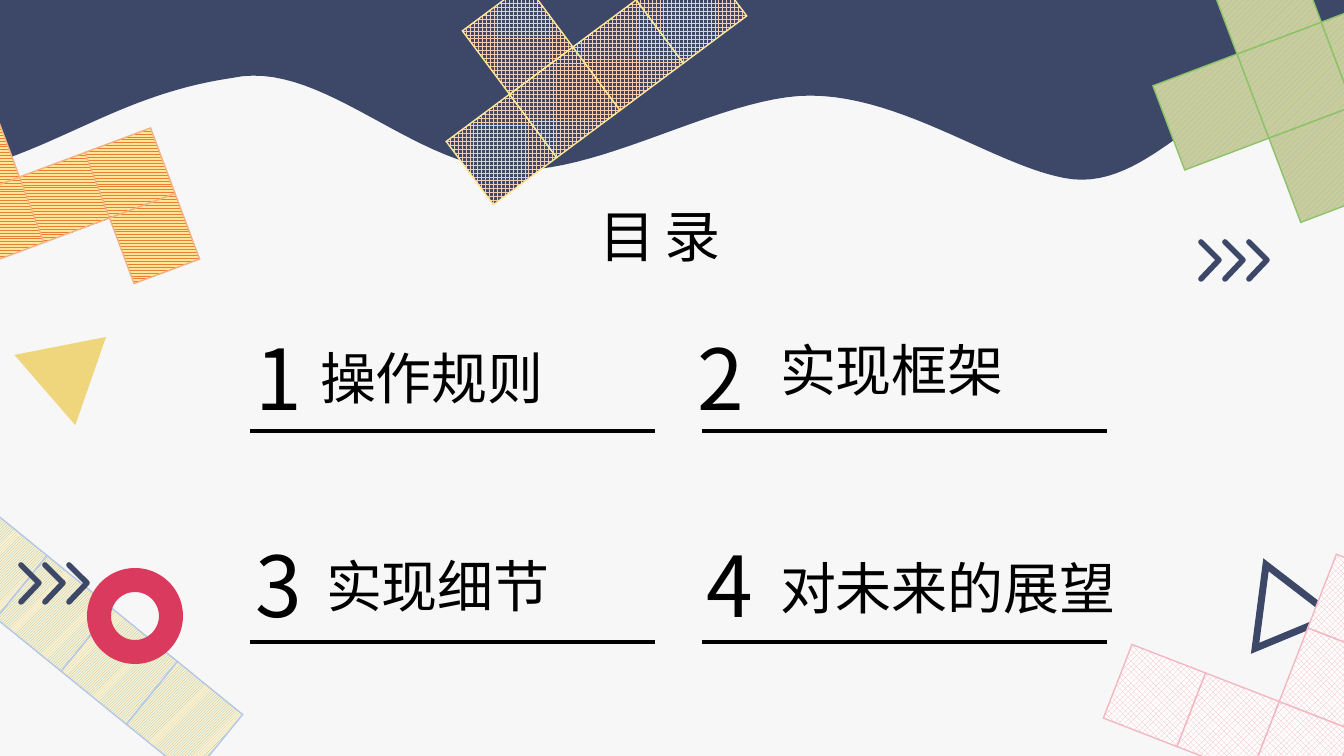
import math
import pptx
import pptx.util
import pptx.dml.color
import pptx.oxml.ns
import pptx.enum.dml
import pptx.enum.shapes
import pptx.enum.text
from lxml import etree

PX = 12192000 / 1344
FONT = "Noto Sans CJK SC"
C = {
    "back": "F7F7F7", "navy": "3D4868", "black": "000000", "yellow": "EFD57C",
    "red": "D93A5D", "teal": "8EBDC7", "cream": "FFF2CC", "sky": "B4C7E7",
    "orange": "ED7D31", "butter": "FFE699", "peach": "F4B183", "olive": "CACD99",
    "green": "8EC26A", "apricot": "F8CBAD", "pink": "F2B8C1", "white": "FFFFFF",
}
RGB = {k: pptx.dml.color.RGBColor.from_string(v) for k, v in C.items()}
PATTERN = pptx.enum.dml.MSO_PATTERN
SHAPE = pptx.enum.shapes.MSO_SHAPE
ALIGN = pptx.enum.text.PP_ALIGN
ANCHOR = pptx.enum.text.MSO_ANCHOR
qn = pptx.oxml.ns.qn


def text(sp, string, size=40, align=ALIGN.JUSTIFY, anchor=ANCHOR.MIDDLE,
         spacing=1.0, gap=0, insets=(10, 5, 10, 5)):
    tf = sp.text_frame
    tf.word_wrap = True
    tf.auto_size = pptx.enum.text.MSO_AUTO_SIZE.NONE
    tf.vertical_anchor = anchor
    tf.margin_left, tf.margin_top, tf.margin_right, tf.margin_bottom = [
        round(v * PX) for v in insets]
    p = tf.paragraphs[0]
    p.alignment = align
    p.line_spacing = spacing
    r = p.add_run()
    r.text = string
    r.font.size = pptx.util.Pt(size)
    r.font.name = FONT
    r.font.color.rgb = RGB["black"]
    rpr = r.font._element
    etree.SubElement(rpr, qn("a:ea")).set("typeface", FONT)
    if gap:
        rpr.set("spc", str(gap * 100))


def paint(sp, fill=None, line=None, width=1, join="miter"):
    sp.shadow.inherit = False
    if fill:
        sp.fill.solid()
        sp.fill.fore_color.rgb = RGB[fill]
    else:
        sp.fill.background()
    if line:
        sp.line.color.rgb = RGB[line]
        sp.line.width = pptx.util.Pt(width)
        ln = sp.element.spPr.find(qn("a:ln"))
        etree.SubElement(ln, qn("a:" + join))
        if join == "round":
            ln.set("cap", "rnd")
    else:
        sp.line.fill.background()


prs = pptx.Presentation()
prs.slide_width, prs.slide_height = round(1344 * PX), round(756 * PX)
s = prs.slides.add_slide(prs.slide_layouts[5])
s.background.fill.solid()
s.background.fill.fore_color.rgb = RGB["back"]

title = s.shapes.title
title.left, title.top, title.width, title.height = [round(v * PX) for v in (590, 196, 180, 78)]
text(title, "目录", anchor=ANCHOR.TOP, gap=6)

curves = [
    [(1327, 192), (1286, 103), (1240, 106)],
    [(1193, 108), (1138, 193), (1064, 178)],
    [(991, 164), (894, 90), (799, 96)],
    [(705, 103), (581, 185), (490, 168)],
    [(399, 152), (315, 60), (232, 78)],
    [(136, 92), (78, 134), (0, 161)],
]
wave = [(1344, 0), (1344, 161)]
for b, c, d in curves:
    a = wave[-1]
    for i in range(1, 25):
        t = i / 24
        u = 1 - t
        wave.append(tuple(u**3 * a[k] + 3 * u * u * t * b[k] + 3 * u * t * t * c[k] + t**3 * d[k]
                          for k in (0, 1)))
fb = s.shapes.build_freeform(0, 0, scale=1.0)
fb.add_line_segments([(round(x * PX), round(y * PX)) for x, y in wave], close=True)
paint(fb.convert_to_shape(), fill="navy")

for x, y, w, h, angle, fill, line in [
    (29, 323, 93, 81, 49.1, "yellow", None),
    (1238, 562, 84, 73, 337.5, None, "navy"),
]:
    sp = s.shapes.add_shape(SHAPE.ISOSCELES_TRIANGLE, *[round(v * PX) for v in (x, y, w, h)])
    sp.rotation = angle
    paint(sp, fill=fill, line=line, width=5)

blocks = [
    (-53, 520, 84, 81, 39.1, PATTERN.DARK_UPWARD_DIAGONAL, "teal", "cream", "sky",
     [(0, 0), (1, 0), (2, 0), (3, 0)]),
    (-36, 187, 70, 70, 339.5, PATTERN.ZIG_ZAG, "orange", "butter", "peach",
     [(0, 0), (1, 0), (2, 0), (2, 1), (0, -1)]),
    (1166, 67, 90, 90, 339.3, PATTERN.WIDE_UPWARD_DIAGONAL, "teal", "olive", "green",
     [(0, 0), (1, 0), (2, 0), (1, -1), (1, 1)]),
    (462, 110, 79, 79, 323.3, PATTERN.LARGE_GRID, "apricot", "navy", "butter",
     [(0, 0), (1, 0), (2, 0), (3, 0), (1, -1)]),
    (1115, 656, 79, 79, 291.2, PATTERN.SOLID_DIAMOND, "pink", "white", "pink",
     [(0, 0), (0, 1), (0, 2), (1, 2), (2, 2)]),
]
for x, y, w, h, angle, pattern, fore, back, line, cells in blocks:
    cos, sin = math.cos(math.radians(angle)), math.sin(math.radians(angle))
    for col, row in cells:
        left = x + col * w * cos - row * h * sin
        top = y + col * w * sin + row * h * cos
        sp = s.shapes.add_shape(SHAPE.RECTANGLE, *[round(v * PX) for v in (left, top, w, h)])
        sp.rotation = angle
        paint(sp, line=line)
        sp.fill.patterned()
        sp.fill.pattern = pattern
        sp.fill.fore_color.rgb = RGB[fore]
        sp.fill.back_color.rgb = RGB[back]

for x, y in [(1201, 242), (21, 565)]:
    fb = s.shapes.build_freeform(x, y, scale=PX)
    for i in range(3):
        left = x + 24 * i
        fb.move_to(left, y)
        fb.add_line_segments([(left + 18, y + 18), (left, y + 37)], close=False)
    paint(fb.convert_to_shape(), line="navy", width=4, join="round")

donut = s.shapes.add_shape(SHAPE.DONUT, *[round(v * PX) for v in (87, 568, 96, 96)])
paint(donut, fill="red")

items = [
    ("1", "操作规则", (204, 316), (310, 318, 273, 105), (250, 431)),
    ("2", "实现框架", (646, 316), (770, 308, 273, 108), (702, 431)),
    ("3", "实现细节", (204, 523), (316, 524, 273, 108), (250, 642)),
    ("4", "对未来的展望", (655, 523), (770, 526, 368, 108), (702, 642)),
]
for number, label, (nx, ny), box, (lx, ly) in items:
    sp = s.shapes.add_textbox(*[round(v * PX) for v in (nx, ny, 139, 122)])
    text(sp, number, size=60, align=ALIGN.CENTER, insets=(10, 0, 0, 0))
    sp = s.shapes.add_textbox(*[round(v * PX) for v in box])
    text(sp, label, spacing=1.2)
    ends = [round(v * PX) for v in (lx, ly, lx + 405, ly)]
    rule = s.shapes.add_connector(pptx.enum.shapes.MSO_CONNECTOR.STRAIGHT, *ends)
    rule.line.color.rgb = RGB["black"]
    rule.line.width = pptx.util.Pt(3)
    etree.SubElement(rule.element.spPr, qn("a:effectLst"))

prs.save("out.pptx")
